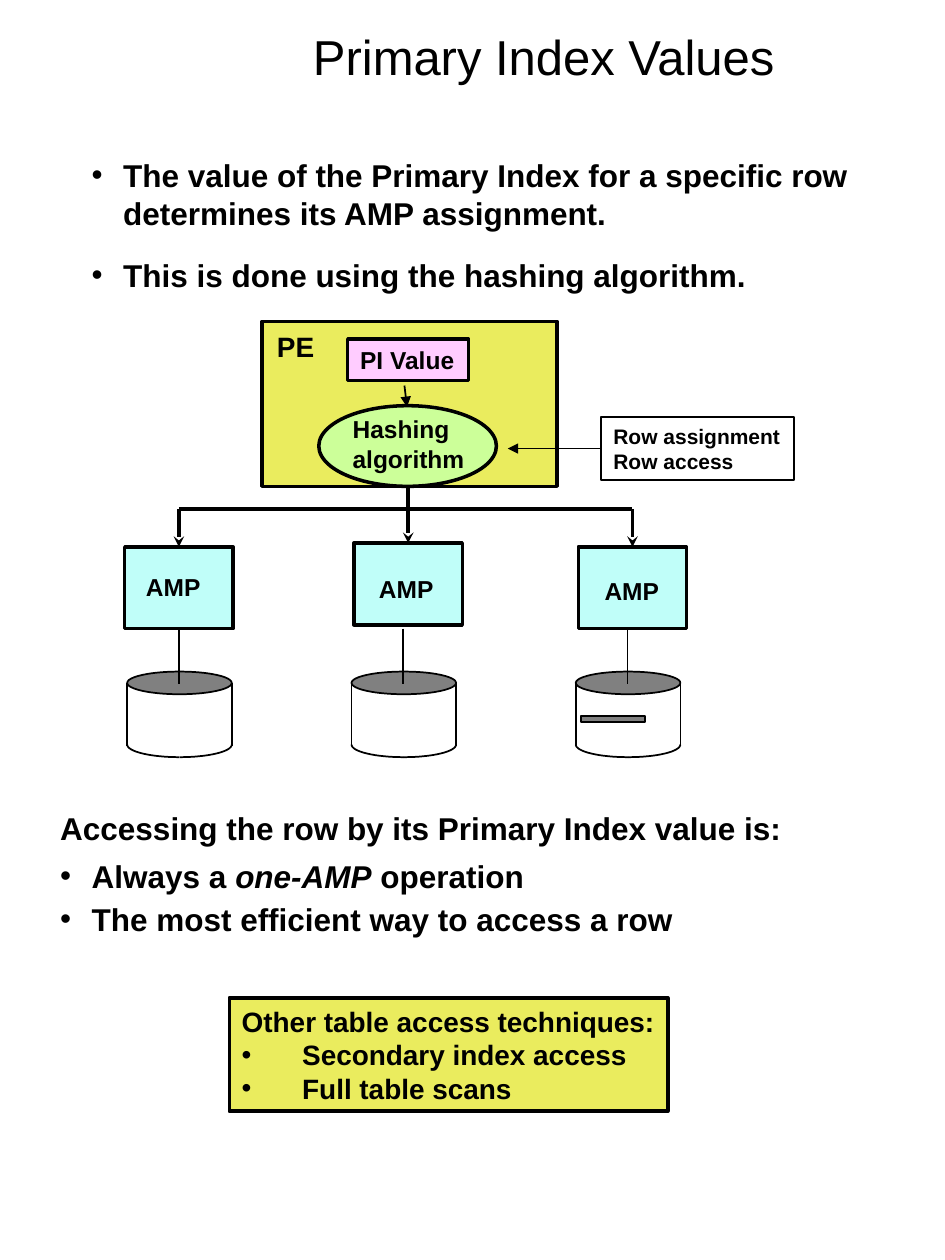
import math

import lxml.etree
import pptx
import pptx.dml.color
import pptx.enum.shapes
import pptx.enum.text
import pptx.oxml.ns
import pptx.util

Inches = pptx.util.Inches
Pt = pptx.util.Pt
Kind = pptx.enum.shapes.MSO_SHAPE
Align = pptx.enum.text.PP_ALIGN
Anchor = pptx.enum.text.MSO_ANCHOR
Fit = pptx.enum.text.MSO_AUTO_SIZE

INK = {
    "black": "000000", "gold": "EAEC5E", "pink": "FFCCFF",
    "cyan": "C0FEF9", "lime": "CCFF99", "gray": "808080",
}


def color(name):
    return pptx.dml.color.RGBColor.from_string(INK[name])


def child(node, tag, **attrs):
    return lxml.etree.SubElement(node, pptx.oxml.ns.qn(tag), **attrs)


class Page:
    """Hold the slide and its style, and draw each kind of element."""

    def __init__(self, slide, font="Arial"):
        self.slide = slide
        self.font = font

    def label(self, shape, paras, size, bold=True, align=Align.LEFT,
              anchor=Anchor.TOP, wrap=False):
        frame = shape.text_frame
        frame.word_wrap = wrap
        frame.auto_size = Fit.NONE if wrap else Fit.SHAPE_TO_FIT_TEXT
        frame.vertical_anchor = anchor
        for i, (runs, opts) in enumerate(paras):
            par = frame.add_paragraph() if i else frame.paragraphs[0]
            par.alignment = align
            self.indent(par, **opts)
            for text, slant in runs:
                for j, line in enumerate(text.split("\n")):
                    if j:
                        par.add_line_break()
                    run = par.add_run()
                    run.text = line
                    run.font.name = self.font
                    run.font.size = Pt(size)
                    run.font.bold = bold
                    run.font.italic = slant
                    run.font.color.rgb = color("black")

    def indent(self, par, hang=0, dot=False, after=0, lead=1.0):
        props = par._p.get_or_add_pPr()
        if hang:
            props.set("marL", str(Inches(hang)))
            props.set("indent", str(-Inches(hang)))
        if dot:
            child(child(props, "a:buClr"), "a:srgbClr", val=INK["black"])
            child(props, "a:buFont", typeface=self.font)
            child(props, "a:buChar", char="•")
        par.space_after = Pt(after)
        par.line_spacing = lead

    def text(self, x, y, w, h, paras, size, **style):
        box = self.slide.shapes.add_textbox(
            Inches(x), Inches(y), Inches(w), Inches(h))
        self.label(box, paras, size, **style)

    def style(self, shape, fill, width):
        shape.shadow.inherit = False
        if fill:
            shape.fill.solid()
            shape.fill.fore_color.rgb = color(fill)
        else:
            shape.fill.background()
        shape.line.color.rgb = color("black")
        shape.line.width = Pt(width)

    def shape(self, x, y, w, h, fill=None, width=2, kind=Kind.RECTANGLE):
        form = self.slide.shapes.add_shape(
            kind, Inches(x), Inches(y), Inches(w), Inches(h))
        self.style(form, fill, width)
        return form

    def line(self, x1, y1, x2, y2, width=1, head=None, start=None, end=None):
        link = self.slide.shapes.add_connector(
            pptx.enum.shapes.MSO_CONNECTOR.STRAIGHT,
            Inches(x1), Inches(y1), Inches(x2), Inches(y2))
        if start:
            link.begin_connect(*start)
        if end:
            link.end_connect(*end)
        link.line.color.rgb = color("black")
        link.line.width = Pt(width)
        if head:
            child(link.get_or_add_ln(), "a:tailEnd", type=head)
        child(link._element.spPr, "a:effectLst")

    def curve(self, x, y, rx, ry):
        turns = [math.pi / 2 * i / 16 for i in range(17)]
        dots = [(Inches(x + rx * math.cos(t)), Inches(y + ry * math.sin(t)))
                for t in turns]
        pen = self.slide.shapes.build_freeform(*dots[0])
        pen.add_line_segments(dots[1:], close=False)
        self.style(pen.convert_to_shape(), None, 1)

    def disk(self, x, y):
        wide, mid = 0.83, y + 0.09
        self.shape(x, y, wide, 0.18, "gray", 1, Kind.OVAL)
        for side in (x, x + wide):
            self.line(side, mid, side, y + 0.59)
        for rx in (wide / 2, -wide / 2):
            self.curve(x + wide / 2, y + 0.58, rx, 0.1)


def plain(text, **opts):
    return [(text, None)], opts


def main():
    deck = pptx.Presentation()
    deck.slide_width, deck.slide_height = Inches(7.5), Inches(10)
    page = Page(deck.slides.add_slide(deck.slide_layouts[6]))

    page.text(1.63, 0, 5.37, 0.89, [plain("Primary Index Values")], 28,
              bold=False, align=Align.CENTER, anchor=Anchor.MIDDLE, wrap=True)
    page.text(0.63, 1.19, 6.27, 1.19, [
        plain("The value of the Primary Index for a specific row\n"
              "determines its AMP assignment.", hang=0.25, dot=True, after=3),
        plain("This is done using the hashing algorithm.",
              hang=0.25, dot=True, lead=1.5),
    ], 18)

    page.shape(2.08, 2.55, 2.34, 1.31, "gold")
    page.text(2.1, 2.57, 0.5, 0.37, [plain("PE")], 16)
    value = page.shape(2.76, 2.69, 0.96, 0.33, "pink")
    page.label(value, [plain("PI Value")], 14)

    amps = []
    for x, y, tx, ty, dx in ((0.99, 4.34, 1.06, 4.49, 1.01),
                             (2.81, 4.31, 2.91, 4.51, 2.79),
                             (4.59, 4.34, 4.7, 4.52, 4.57)):
        amp = page.shape(x, y, 0.86, 0.65, "cyan")
        page.text(tx, ty, 0.64, 0.33, [plain("AMP")], 14)
        page.disk(dx, 5.33)
        stem = dx + 0.41
        page.line(stem, 4.99, stem, 5.43)
        amps.append(amp)
    page.shape(4.61, 5.68, 0.51, 0.05, "gray", 1)

    left, mid, right = 1.42, 3.24, 5.02
    bus = 4.04
    page.line(left, bus, right, bus, 2)
    for x, y, amp in zip((left, mid, right), (bus, 3.85, bus), amps):
        page.line(x, y, x, 4.34, 2, "stealth", end=(amp, 0))

    rows = page.shape(4.77, 3.31, 1.53, 0.5, width=1)
    page.label(rows, [plain("Row assignment"), plain("Row access")], 12)
    page.line(4.77, 3.56, 4.03, 3.56, head="triangle", start=(rows, 1))

    page.shape(2.53, 3.22, 1.41, 0.64, "lime", kind=Kind.OVAL)
    page.line(3.21, 3.06, 3.23, 3.23, head="triangle")
    page.text(2.7, 3.24, 1.09, 0.57,
              [plain("Hashing"), plain("algorithm")], 14)

    page.text(0.38, 6.37, 6.43, 1.13, [
        plain("Accessing the row by its Primary Index value is:",
              hang=0.25, after=6),
        ([("Always a ", None), ("one-AMP", True), (" operation", None)],
         dict(hang=0.25, dot=True, after=3)),
        plain("The most efficient way to access a row", hang=0.25, dot=True),
    ], 18)

    other = page.shape(1.82, 7.92, 3.48, 0.9, "gold")
    page.label(other, [
        plain("Other table access techniques:"),
        plain("Secondary index access", hang=0.48, dot=True),
        plain("Full table scans", hang=0.48, dot=True),
    ], 16)
    deck.save("out.pptx")


if __name__ == "__main__":
    main()
